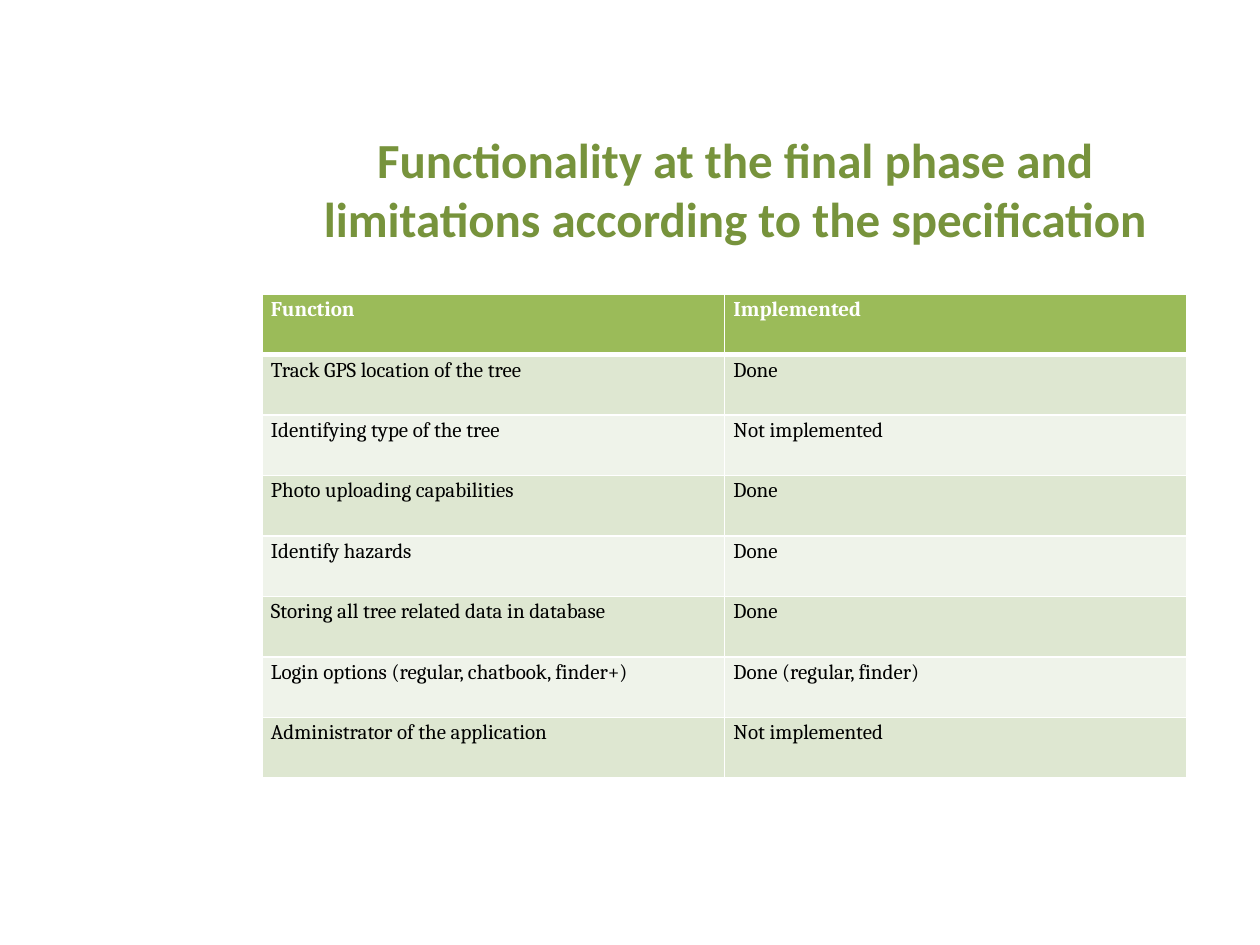
"""Build the slide on final phase functionality and its limitations."""
from lxml.etree import SubElement
from pptx import Presentation
from pptx.dml.color import RGBColor
from pptx.enum.text import MSO_ANCHOR, PP_ALIGN
from pptx.oxml.ns import qn
from pptx.util import Pt

HUES = {"title": "77933C", "head": "9BBB59", "odd": "DEE7D1",
        "even": "EFF3EA", "white": "FFFFFF", "black": "000000"}
ROWS = [
    ("Function", "Implemented"),
    ("Track GPS location of the tree", "Done"),
    ("Identifying type of the tree", "Not implemented"),
    ("Photo uploading capabilities", "Done"),
    ("Identify hazards", "Done"),
    ("Storing all tree related data in database", "Done"),
    ("Login options (regular, chatbook, finder+)", "Done (regular, finder)"),
    ("Administrator of the application", "Not implemented"),
]


def px(*nums):
    return [round(n * 914400 / 126) for n in nums]


def write(frame, text, font, size, hue, bold=False, align=PP_ALIGN.LEFT,
          line=1.0, after=0):
    para = frame.paragraphs[0]
    para.alignment = align
    para.line_spacing = line
    para.space_after = Pt(after)
    run = para.add_run()
    run.text = text
    run.font.name = font
    run.font.size = Pt(size)
    run.font.bold = bold
    run.font.color.rgb = RGBColor.from_string(HUES[hue])


deck = Presentation()
deck.slide_width, deck.slide_height = px(1260, 945)
slide = deck.slides.add_slide(deck.slide_layouts[6])

title = slide.shapes.add_textbox(*px(272, 115, 926, 147)).text_frame
title.word_wrap = True
title.vertical_anchor = MSO_ANCHOR.MIDDLE
write(title, "Functionality at the final phase and limitations according to the specification",
      font="Calibri", size=28, hue="title", bold=True, align=PP_ALIGN.CENTER)

table = slide.shapes.add_table(len(ROWS), 2, *px(262, 294, 925, 484)).table
for i, row in enumerate(ROWS):
    head = i == 0
    shade = "head" if head else "odd" if i % 2 else "even"
    for j, text in enumerate(row):
        cell = table.cell(i, j)
        cell.margin_left, cell.margin_right = px(9, 9)
        cell.margin_top = cell.margin_bottom = 0
        write(cell.text_frame, text, font="Cambria", size=12,
              hue="white" if head else "black", bold=head, line=1.15,
              after=10 if j and not head else 0)
        props = cell._tc.get_or_add_tcPr()
        for side in "LRTB":
            thick = (i, side) in [(0, "B"), (1, "T")]
            edge = SubElement(props, qn(f"a:ln{side}"), w=str(Pt(3 if thick else 1)))
            paint = SubElement(edge, qn("a:solidFill"))
            SubElement(paint, qn("a:srgbClr"), val=HUES["white"])
        cell.fill.solid()
        cell.fill.fore_color.rgb = RGBColor.from_string(HUES[shade])

deck.save("out.pptx")
